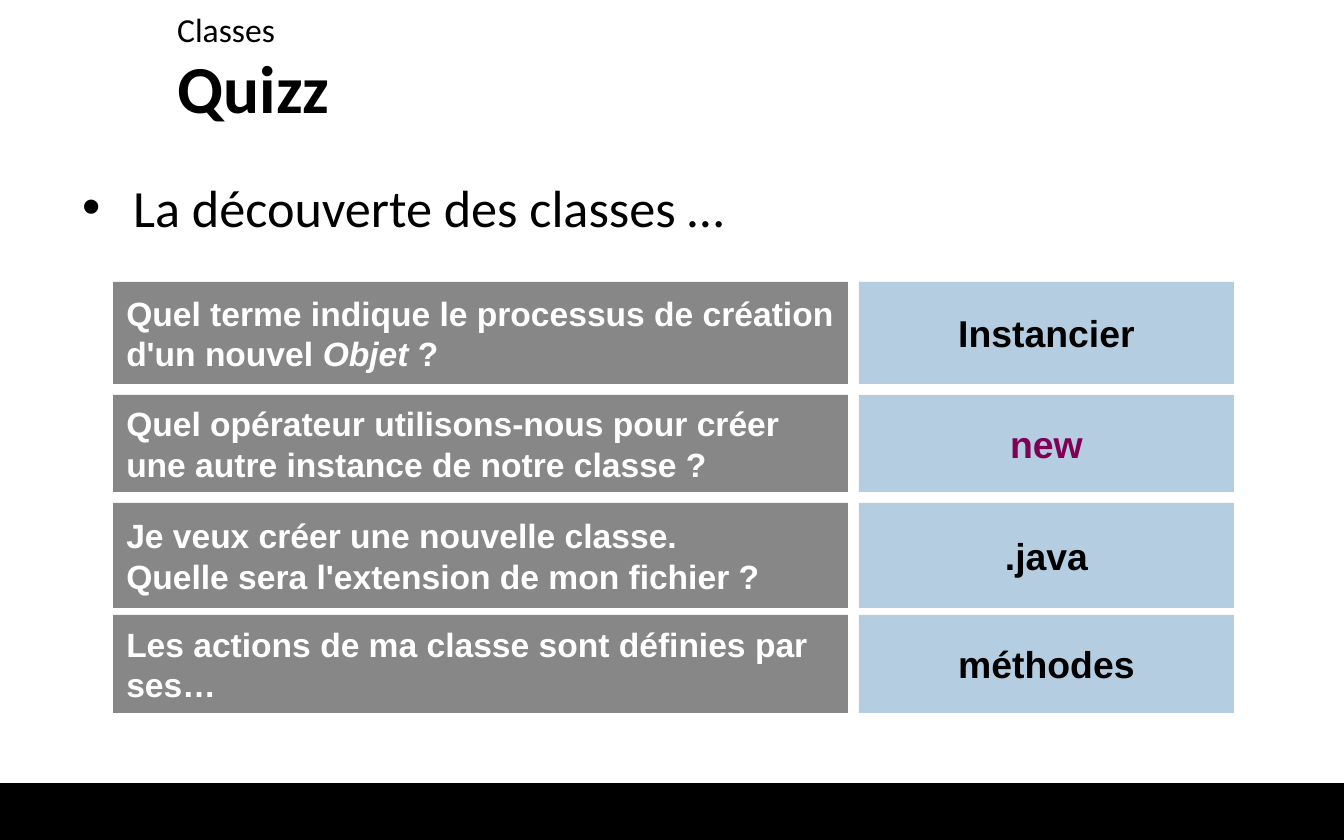
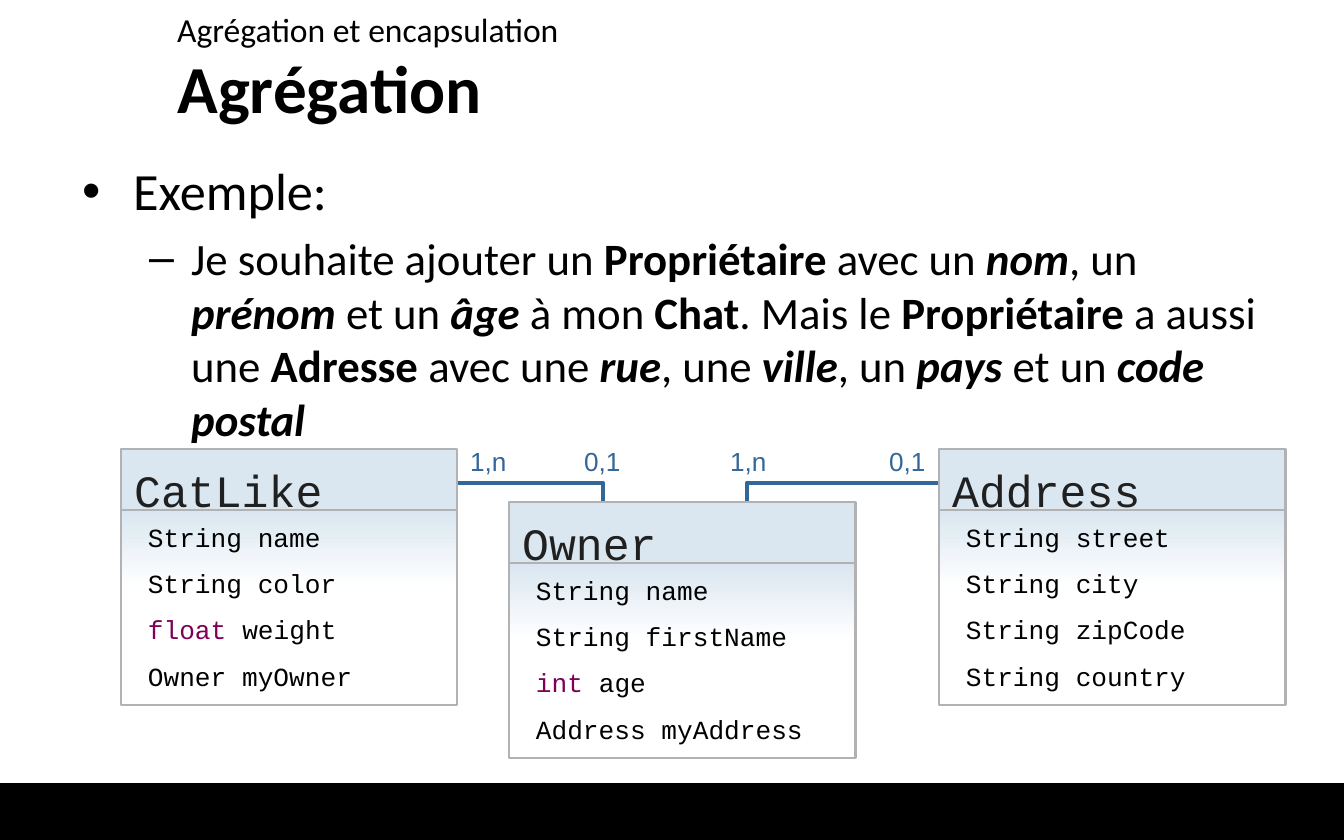
import pptx
import pptx.dml.color
import pptx.enum.shapes
import pptx.enum.text
import pptx.oxml.ns
import pptx.util
from lxml import etree

EMU_PER_PX = 914400 / 134.4
WIDTH, HEIGHT = 1344, 840
BLACK, WHITE = "000000", "FFFFFF"
QUESTION_GREY, ANSWER_BLUE = "4D4D4D", "A5C3DB"
KEYWORD, RELATION = "7F0055", "336699"
CLASS_FILL, CLASS_EDGE, CLASS_NAME = "DAE6F0", "B2B2B2", "202020"
HEADING_FONT, LABEL_FONT, CODE_FONT = "Calibri", "Arial", "Courier New"
BULLET_LEVELS = [(28, 51, -51, "•"), (24, 109, -42, "–")]


def px(length):
    return pptx.util.Emu(round(length * EMU_PER_PX))


def color(value):
    return pptx.dml.color.RGBColor.from_string(value)


def add_xml(parent, tag, **attributes):
    return etree.SubElement(parent, pptx.oxml.ns.qn(tag), attributes)


class Deck:
    """Holds the shared style and the slide being built."""

    def __init__(self):
        self.presentation = pptx.Presentation()
        self.presentation.slide_width = px(WIDTH)
        self.presentation.slide_height = px(HEIGHT)
        self.slide = None

    def start(self, chapter, heading):
        self.slide = self.presentation.slides.add_slide(self.presentation.slide_layouts[5])
        self.box(0, 783, WIDTH, HEIGHT - 783, BLACK)
        title = self.slide.shapes.title
        title.left, title.top, title.width, title.height = map(px, (164, 50, 1142, 74))
        frame = title.text_frame
        frame.auto_size = pptx.enum.text.MSO_AUTO_SIZE.NONE
        frame.vertical_anchor = pptx.enum.text.MSO_ANCHOR.MIDDLE
        self.put_lines(frame, [heading], 36, HEADING_FONT, bold=True)
        self.text(164, 2, 1144, 50, [chapter], 18, HEADING_FONT)

    def put_lines(self, frame, lines, *style, **options):
        for index, line in enumerate(lines):
            paragraph = frame.add_paragraph() if index else frame.paragraphs[0]
            self.put_line(paragraph, line, *style, **options)

    def put_line(self, paragraph, line, size, font, ink=BLACK, bold=False, centered=False, gap=0):
        paragraph.alignment = (pptx.enum.text.PP_ALIGN.CENTER if centered
                               else pptx.enum.text.PP_ALIGN.LEFT)
        paragraph.space_after = pptx.util.Pt(gap)
        styles = []
        if isinstance(line, str):
            paragraph.text = line
        else:
            for words, style in line:
                paragraph.add_run().text = words
                styles.append(style)
        for number, run in enumerate(paragraph.runs):
            style = styles[number] if styles else ""
            run.font.size = pptx.util.Pt(size)
            run.font.name = font
            run.font.bold = bold or "b" in style
            run.font.italic = "i" in style
            run.font.color.rgb = color(KEYWORD if "k" in style else ink)

    def text(self, left, top, width, height, lines, size, font, ink=BLACK, wrap=True, middle=False):
        frame = self.slide.shapes.add_textbox(*map(px, (left, top, width, height))).text_frame
        frame.word_wrap = wrap
        if middle:
            frame.vertical_anchor = pptx.enum.text.MSO_ANCHOR.MIDDLE
        self.put_lines(frame, lines, size, font, ink)
        return frame

    def bullets(self, top, points):
        frame = self.text(69, top, 1218, 610, [], 28, HEADING_FONT)
        for level, point in enumerate(points):
            size, margin, indent, mark = BULLET_LEVELS[level]
            paragraph = frame.add_paragraph() if level else frame.paragraphs[0]
            self.put_line(paragraph, point, size, HEADING_FONT, gap=5)
            paragraph.level = level
            properties = paragraph._p.get_or_add_pPr()
            properties.set("marL", str(px(margin)))
            properties.set("indent", str(px(indent)))
            add_xml(properties, "a:buFont", typeface="Arial")
            add_xml(properties, "a:buChar", char=mark)

    def box(self, left, top, width, height, fill, opacity=100, edge=None):
        shape = self.slide.shapes.add_shape(
            pptx.enum.shapes.MSO_SHAPE.RECTANGLE, *map(px, (left, top, width, height)))
        shape.shadow.inherit = False
        shape.fill.solid()
        shape.fill.fore_color.rgb = color(fill)
        if opacity < 100:
            tint = shape._element.spPr.find(".//" + pptx.oxml.ns.qn("a:srgbClr"))
            add_xml(tint, "a:alpha", val=str(opacity * 1000))
        if edge:
            shape.line.color.rgb = color(edge)
            shape.line.width = pptx.util.Pt(1.5)
        else:
            shape.line.fill.background()
        shape.text_frame.word_wrap = True
        return shape

    def quiz_row(self, top, height, question, answer):
        asked = self.box(113, top, 735, height, QUESTION_GREY, 67)
        self.put_lines(asked.text_frame, [question], 18, LABEL_FONT, WHITE, bold=True)
        answered = self.box(859, top, 375, height, ANSWER_BLUE, 83)
        self.put_lines(answered.text_frame, [answer], 20, LABEL_FONT, bold=True, centered=True)

    def class_box(self, left, top, width, name, fields):
        header = self.box(left, top, width, 68, CLASS_FILL, edge=CLASS_EDGE)
        body = self.box(left, top + 61, width, 195, WHITE, edge=CLASS_EDGE)
        body.fill.gradient()
        body.fill.gradient_angle = 270
        for stop, place, shade in zip(body.fill.gradient_stops, (0, 0.4), (CLASS_FILL, WHITE)):
            stop.position = place
            stop.color.rgb = color(shade)
        for part, inset in ((header, 14), (body, 11)):
            part.text_frame.vertical_anchor = pptx.enum.text.MSO_ANCHOR.TOP
            part.text_frame.margin_top = px(inset)
        body.text_frame.margin_left = px(27)
        self.put_lines(header.text_frame, [name], 24, CODE_FONT, CLASS_NAME)
        self.put_lines(body.text_frame, fields, 14, CODE_FONT, gap=8)

    def relation(self, start, end, bend):
        link = self.slide.shapes.add_connector(
            pptx.enum.shapes.MSO_CONNECTOR.ELBOW, *map(px, start + end))
        link.line.color.rgb = color(RELATION)
        link.line.width = pptx.util.Pt(2.5)
        properties = link._element.spPr
        guides = properties.find(".//" + pptx.oxml.ns.qn("a:avLst"))
        add_xml(guides, "a:gd", name="adj1", fmla=f"val {bend * 1000}")
        add_xml(properties, "a:effectLst")


def build_quiz(deck):
    deck.start("Classes", "Quizz")
    deck.bullets(169, ["La découverte des classes …"])
    rows = [
        (282, 102, [("Quel terme indique le processus de création d'un nouvel ", ""),
                    ("Objet", "i"), (" ?", "")], "Instancier"),
        (395, 97, "Quel opérateur utilisons-nous pour créer une autre instance de notre classe ?",
         [("new", "k")]),
        (503, 105, "Je veux créer une nouvelle classe. \nQuelle sera l'extension de mon fichier ?",
         ".java"),
        (615, 98, "Les actions de ma classe sont définies par ses…", "méthodes"),
    ]
    for row in rows:
        deck.quiz_row(*row)


def build_aggregation(deck):
    deck.start("Agrégation et encapsulation", "Agrégation")
    deck.bullets(152, ["Exemple:", [
        ("Je souhaite ajouter un ", ""), ("Propriétaire", "b"), (" avec un ", ""),
        ("nom", "bi"), (", un ", ""), ("prénom", "bi"), (" et un ", ""), ("âge", "bi"),
        (" à mon ", ""), ("Chat", "b"), (". Mais le ", ""), ("Propriétaire", "b"),
        (" a aussi une ", ""), ("Adresse", "b"), (" avec une ", ""), ("rue", "bi"),
        (", une ", ""), ("ville", "bi"), (", un ", ""), ("pays", "bi"), (" et un ", ""),
        ("code postal", "bi")]])
    deck.relation((457, 483), (603, 517), 100)
    deck.relation((747, 512), (939, 483), 0)
    for left, cardinality in ((457, "1,n"), (571, "0,1"), (717, "1,n"), (876, "0,1")):
        deck.text(left, 439, 64, 45, [cardinality], 14, LABEL_FONT, RELATION,
                  wrap=False, middle=True)
    deck.class_box(121, 449, 336, "CatLike", [
        "String name", "String color", [("float ", "k"), ("weight", "")], "Owner myOwner"])
    deck.class_box(509, 502, 347, "Owner", [
        "String name", "String firstName", [("int ", "k"), ("age", "")], "Address myAddress"])
    deck.class_box(939, 449, 347, "Address", [
        "String street", "String city", "String zipCode", "String country"])


def main():
    deck = Deck()
    build_quiz(deck)
    build_aggregation(deck)
    deck.presentation.save("out.pptx")


if __name__ == "__main__":
    main()
